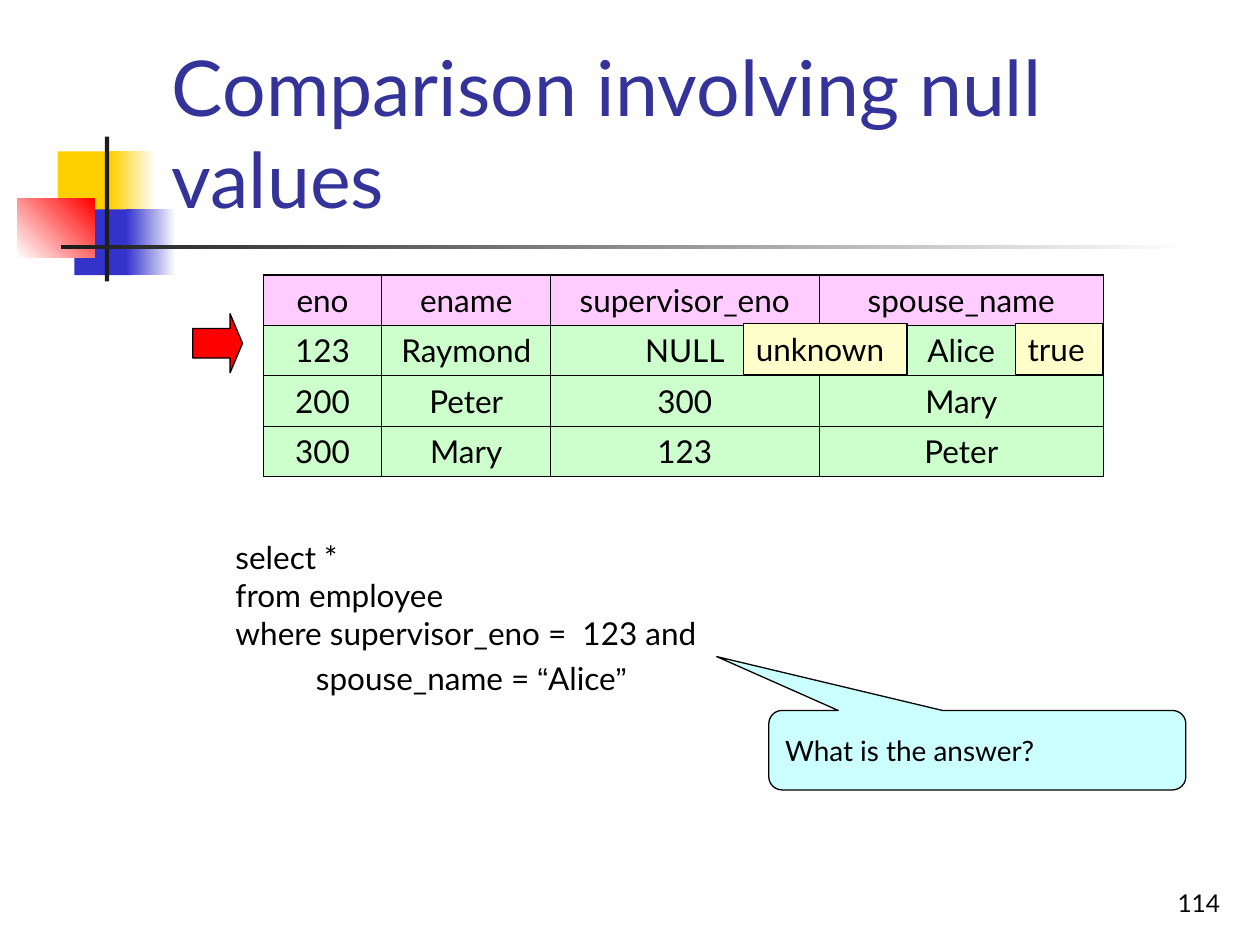
import lxml.etree
import pptx
import pptx.dml.color
import pptx.enum.shapes
import pptx.enum.text
import pptx.oxml.ns
import pptx.util

Pt = pptx.util.Pt
SHAPE = pptx.enum.shapes.MSO_SHAPE
ALIGN = pptx.enum.text.PP_ALIGN
ANCHOR = pptx.enum.text.MSO_ANCHOR
qn = pptx.oxml.ns.qn

EMPLOYEES = [
    ["eno", "ename", "supervisor_eno", "spouse_name"],
    ["123", "Raymond", "NULL", "Alice"],
    ["200", "Peter", "300", "Mary"],
    ["300", "Mary", "123", "Peter"],
]
QUERY = [
    ["select * ", "\n", "from employee", "\n", "where supervisor_eno =  123 and"],
    ["          spouse_name = ", "“", "Alice", "”"],
]


def rgb(hex_string):
    return pptx.dml.color.RGBColor.from_string(hex_string)


def box(left, top, width, height):
    return Pt(left), Pt(top), Pt(width), Pt(height)


def write_text(frame, paragraphs, size=18, color="000000", align=ALIGN.LEFT,
               anchor=ANCHOR.TOP, gap=0):
    frame.word_wrap = True
    frame.auto_size = pptx.enum.text.MSO_AUTO_SIZE.NONE
    frame.vertical_anchor = anchor
    for index, pieces in enumerate(paragraphs):
        paragraph = frame.add_paragraph() if index else frame.paragraphs[0]
        paragraph.alignment = align
        paragraph.space_before = Pt(gap if index else 0)
        for piece in pieces:
            if piece == "\n":
                paragraph.add_line_break()
                continue
            run = paragraph.add_run()
            run.text = piece
            run.font.name = "Arial" if piece in ("“", "”") else "Lato"
            run.font.size = Pt(size)
            run.font.color.rgb = rgb(color)


def add_text(slide, bounds, paragraphs, **text_format):
    write_text(slide.shapes.add_textbox(*box(*bounds)).text_frame, paragraphs, **text_format)


def add_block(slide, bounds, *colors, angle=0):
    block = slide.shapes.add_shape(SHAPE.RECTANGLE, *box(*bounds))
    block.shadow.inherit = False
    block.line.fill.background()
    if len(colors) == 1:
        block.fill.solid()
        block.fill.fore_color.rgb = rgb(colors[0])
        return
    block.fill.gradient()
    block.fill.gradient_angle = angle
    for stop, color in zip(block.fill.gradient_stops, colors):
        stop.color.rgb = rgb(color)


def add_outlined(slide, preset, bounds, fill, adjustments=()):
    outlined = slide.shapes.add_shape(preset, *box(*bounds))
    outlined.shadow.inherit = False
    outlined.fill.solid()
    outlined.fill.fore_color.rgb = rgb(fill)
    outlined.line.color.rgb = rgb("000000")
    outlined.line.width = Pt(0.75)
    for index, value in enumerate(adjustments):
        outlined.adjustments[index] = value
    return outlined.text_frame


def set_border(cell, side, width):
    properties = cell._tc.get_or_add_tcPr()
    border = lxml.etree.Element(qn(f"a:{side}"), w=str(Pt(width)))
    fill = lxml.etree.SubElement(border, qn("a:solidFill"))
    lxml.etree.SubElement(fill, qn("a:srgbClr"), val="000000")
    properties.append(border)


def add_employee_table(slide):
    last_row, last_column = len(EMPLOYEES) - 1, len(EMPLOYEES[0]) - 1
    frame = slide.shapes.add_table(last_row + 1, last_column + 1, *box(150.5, 157, 480.2, 115.2))
    table = frame.table
    table.first_row = table.horz_banding = False
    for column, width in zip(table.columns, (67.7, 96.5, 153.3, 162.7)):
        column.width = Pt(width)
    for row, values in enumerate(EMPLOYEES):
        table.rows[row].height = Pt(28.8)
        for column, value in enumerate(values):
            cell = table.cell(row, column)
            write_text(cell.text_frame, [[value]], align=ALIGN.CENTER)
            outer_edges = {"lnL": column == 0, "lnR": column == last_column,
                           "lnT": row == 0, "lnB": row == last_row}
            for side, is_outer in outer_edges.items():
                set_border(cell, side, 1.08 if is_outer else 0.45)
            cell.fill.solid()
            cell.fill.fore_color.rgb = rgb("CCFFCC" if row else "FFCCFF")


def add_decoration(slide):
    add_block(slide, (33, 86.5, 34.5, 37.5), "FFCF01")
    add_block(slide, (63, 86.5, 26, 37.5), "FFCF01", "FFFFFF")
    add_block(slide, (42.5, 119.7, 33, 37.5), "3333CC")
    add_block(slide, (72, 119.7, 28.5, 37.5), "3333CC", "FFFFFF")
    add_block(slide, (10, 113.7, 44, 33.3), "FFFFFF", "FF0000", angle=45)
    add_block(slide, (59.9, 78, 2.5, 82.8), "1C1C1C")
    add_block(slide, (34.8, 140, 648, 2.5), "1C1C1C", "FFFFFF")


def add_title(slide):
    title = slide.shapes.title
    title.left, title.top, title.width, title.height = box(91, 16.5, 613.5, 115.2)
    write_text(title.text_frame, [["Comparison involving null values"]],
               size=44, color="333399", anchor=ANCHOR.BOTTOM)
    title.element.getparent().append(title.element)


def main():
    presentation = pptx.Presentation()
    presentation.slide_width, presentation.slide_height = Pt(720), Pt(540)
    slide = presentation.slides.add_slide(presentation.slide_layouts[5])
    add_decoration(slide)
    add_text(slide, (554.4, 492, 150, 36), [["114"]],
             size=14, align=ALIGN.RIGHT, anchor=ANCHOR.BOTTOM)
    add_employee_table(slide)
    add_text(slide, (127.5, 304, 476, 98.6), QUERY, gap=4.5)
    question = add_outlined(slide, SHAPE.ROUNDED_RECTANGULAR_CALLOUT, (439.3, 406, 238.3, 45.4),
                            "CCFFFF", (-0.625, -1.178, 0.167))
    write_text(question, [["What is the answer?"]], size=16, anchor=ANCHOR.MIDDLE)
    add_outlined(slide, SHAPE.RIGHT_ARROW, (110.2, 179.3, 28.4, 33.8), "FF0000", (0.5, 0.25))
    for verdict, left, width in (("unknown", 424.8, 93.6), ("true", 580.2, 49.7)):
        verdict_frame = add_outlined(slide, SHAPE.RECTANGLE, (left, 185, width, 29), "FFFFCC")
        write_text(verdict_frame, [[verdict]])
    add_title(slide)
    presentation.save("out.pptx")


if __name__ == "__main__":
    main()
